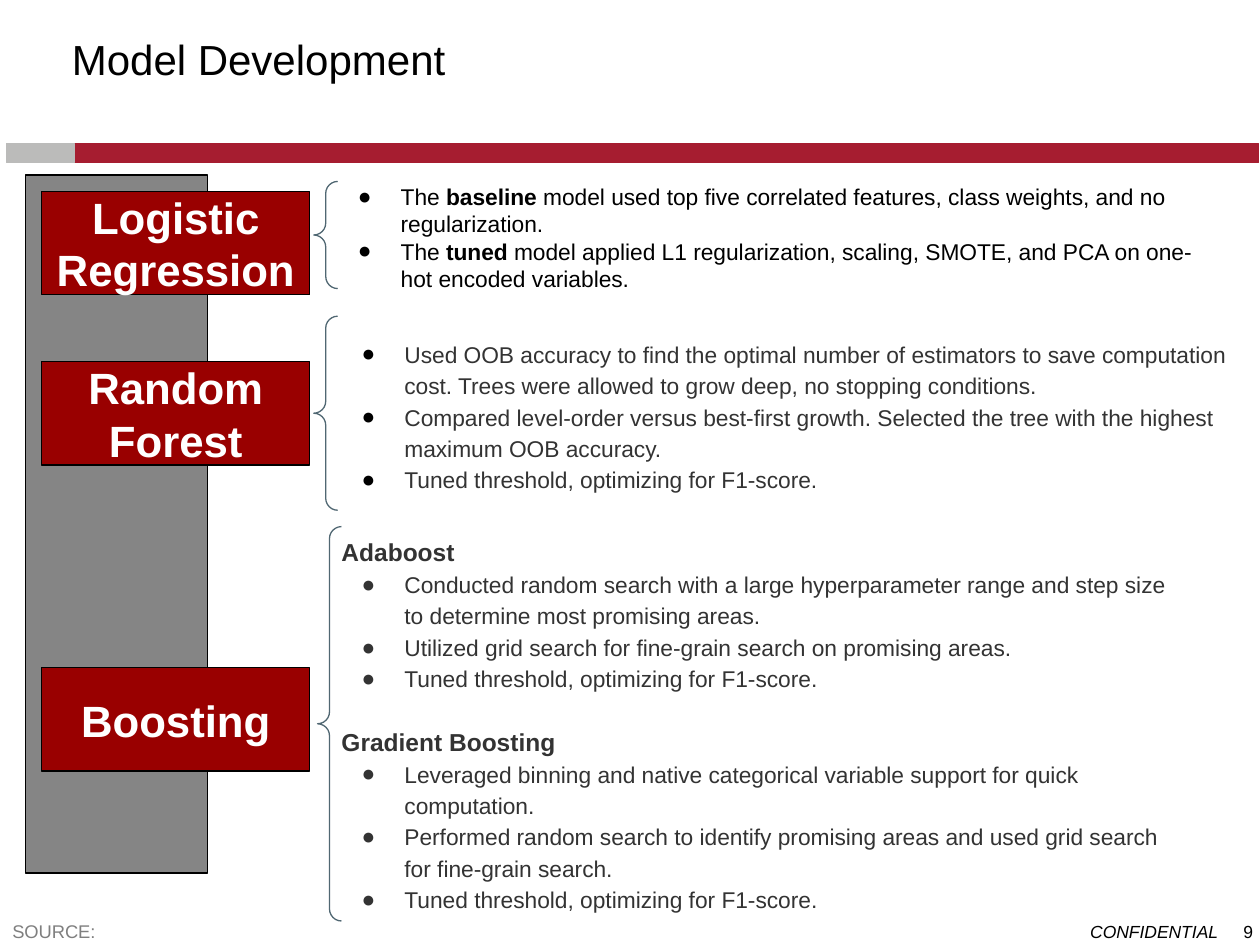
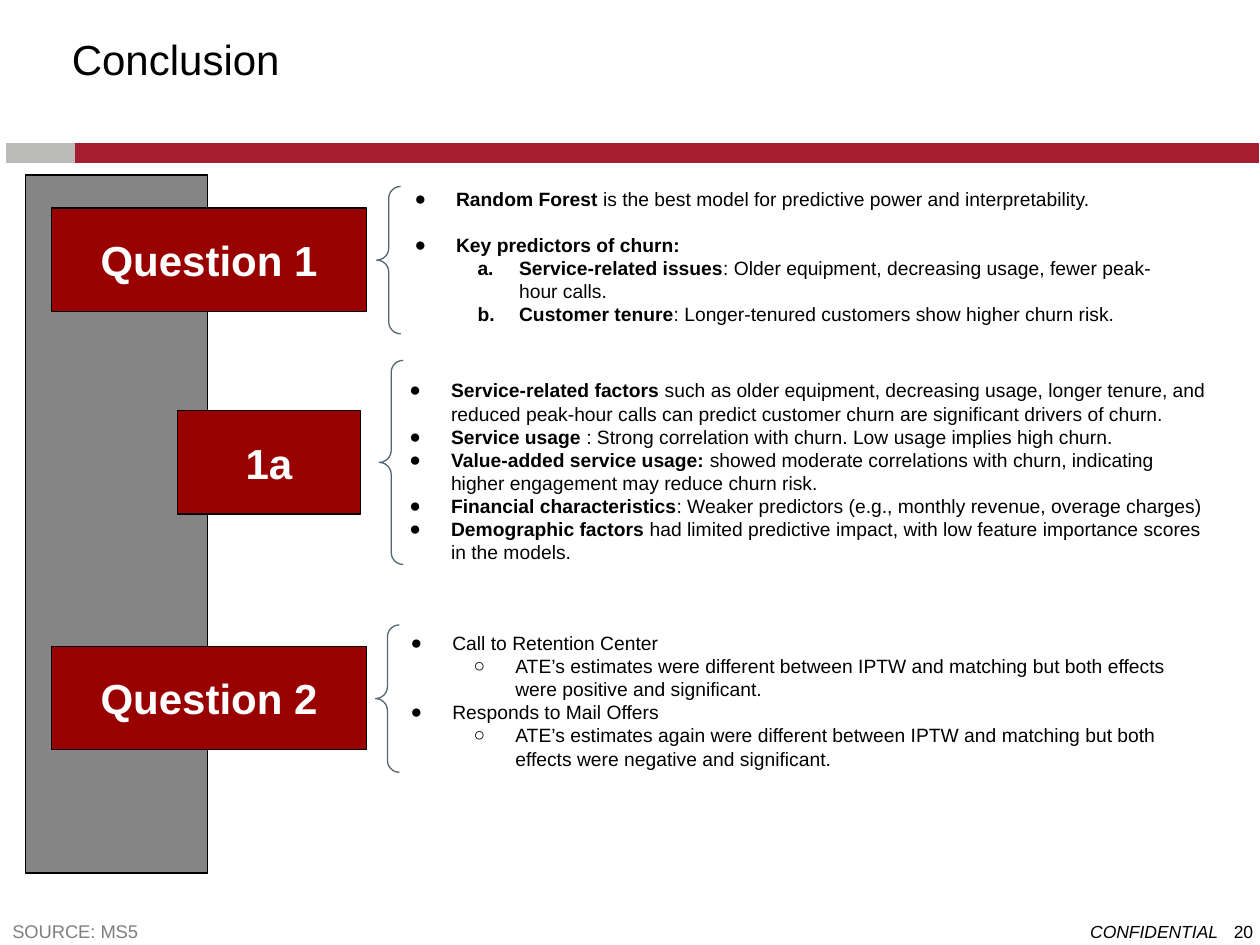
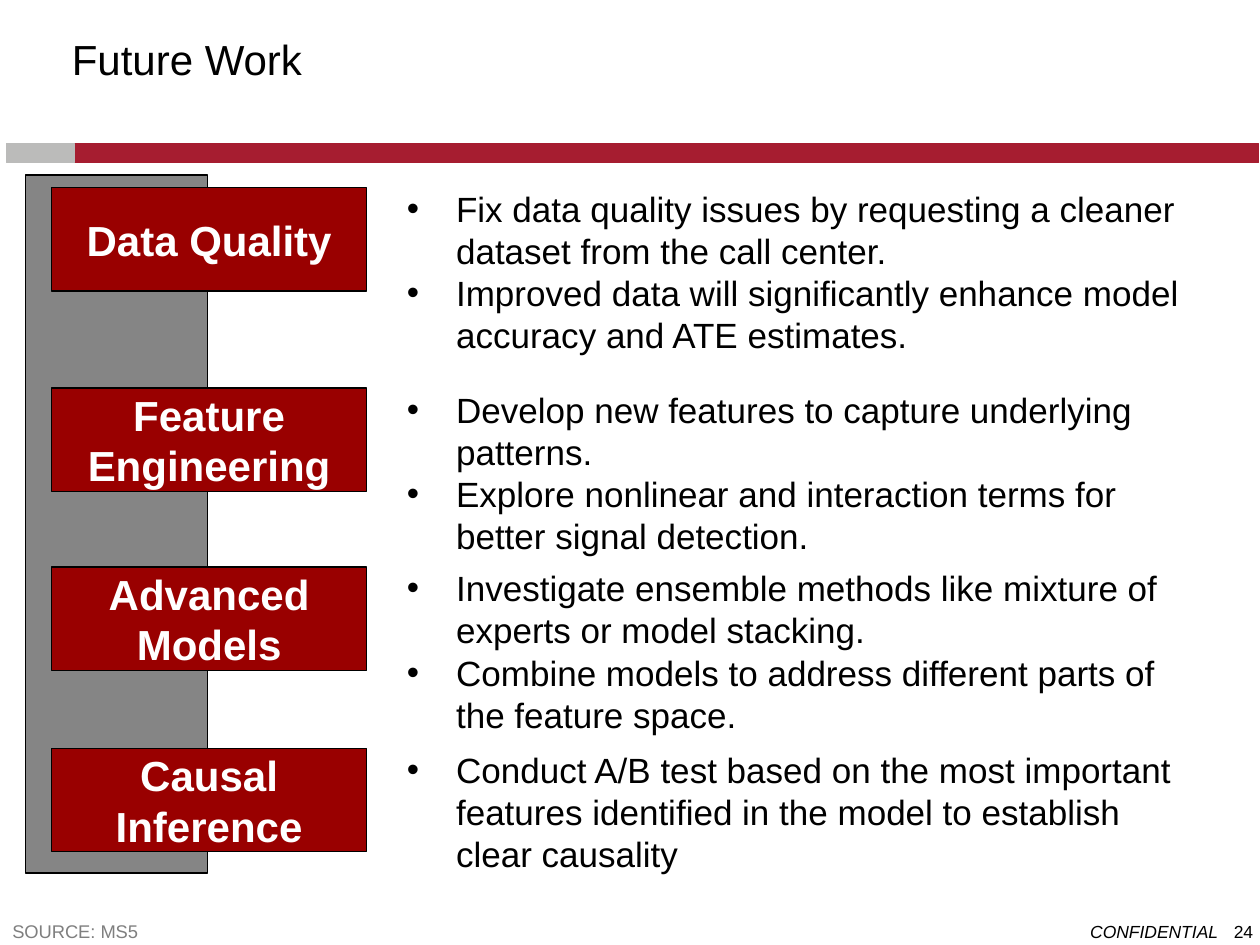
from lxml.etree import SubElement
from pptx import Presentation
from pptx.dml.color import RGBColor
from pptx.enum.shapes import MSO_SHAPE as Preset
from pptx.enum.text import MSO_ANCHOR as Anchor, PP_ALIGN as Align
from pptx.oxml.ns import qn
from pptx.util import Emu, Inches, Pt

THEME = {
    "font": "Arial",
    "red": "A61D30", "silver": "BBBBBA", "panel": "858585", "label": "990000",
    "brace": "506772", "black": "000000", "white": "FFFFFF", "ink": "333333",
    "muted": "7F7F7F",
    "title_size": 24, "source_size": 10.5, "footer_size": 10, "line": 0.75,
}
COLUMNS, ROWS = 100, 75
LABEL_ROWS = 8.2
BRACE_COLUMNS = 1.9

BANDS = [((5.8, 11.4, 94.1, 1.5), "red", "red"),
         ((0.5, 11.4, 5.4, 1.5), "silver", "silver"),
         ((2, 13.9, 14.5, 55.4), "panel", "black")]

BULLETS = {
    "dot": {"mark": "●", "level": 0},
    "gap_dot": {"mark": "●", "level": 0, "format": {"space_before": Pt(12.65)}},
    "ring": {"mark": "○", "level": 1},
    "letter": {"mark": None, "level": 1},
    "small_dot": {"mark": "•", "level": 0},
    "heading": {"size": 14},
    "gap_heading": {"size": 14, "format": {"space_before": Pt(17.2)}},
}

SLIDES = [
    {
        "title": "Model Development", "source": "SOURCE:", "page": "9",
        "label_size": 25, "text_size": 13, "hang": 0.34,
        "blocks": [
            {"label": "Logistic Regression", "label_at": (3.3, 15.2, 21.3),
             "brace": (24.9, 14.4, 8.5), "text_at": (26.8, 14.5, 69.5, 9.3),
             "text": [
                 ("dot", "The *baseline* model used top five correlated features, class weights, and no regularization."),
                 ("dot", "The *tuned* model applied L1 regularization, scaling, SMOTE, and PCA on one-hot encoded variables."),
             ]},
            {"label": "Random Forest", "label_at": (3.3, 28.7, 21.3),
             "brace": (24.9, 25.1, 15.4), "text_at": (27.1, 26.7, 70.6, 21.8),
             "color": "ink", "spacing": 1.15,
             "text": [
                 ("dot", "Used OOB accuracy to find the optimal number of estimators to save computation cost. Trees were allowed to grow deep, no stopping conditions."),
                 ("dot", "Compared level-order versus best-first growth. Selected the tree with the highest maximum OOB accuracy."),
                 ("dot", "Tuned threshold, optimizing for F1-score."),
             ]},
            {"label": "Boosting", "label_at": (3.3, 53, 21.3),
             "brace": (25.2, 41.8, 31.3), "text_at": (27.1, 42.3, 65.9, 30.7),
             "color": "ink", "bullet_color": "ink", "spacing": 1.15,
             "text": [
                 ("heading", "*Adaboost*"),
                 ("dot", "Conducted random search with a large hyperparameter range and step size to determine most promising areas."),
                 ("dot", "Utilized grid search for fine-grain search on promising areas."),
                 ("dot", "Tuned threshold, optimizing for F1-score."),
                 ("gap_heading", "*Gradient Boosting*"),
                 ("dot", "Leveraged binning and native categorical variable support for quick computation."),
                 ("dot", "Performed random search to identify promising areas and used grid search for fine-grain search."),
                 ("dot", "Tuned threshold, optimizing for F1-score."),
             ]},
        ],
    },
    {
        "title": "Conclusion", "source": "SOURCE: MS5", "page": "20",
        "label_size": 24, "text_size": 11, "hang": 0.33,
        "blocks": [
            {"label": "Question 1", "label_at": (4.1, 16.5, 25),
             "brace": (29.9, 14.8, 11.7), "text_at": (31.2, 14.9, 63, 12.7),
             "text": [
                 ("dot", "*Random Forest* is the best model for predictive power and interpretability."),
                 ("gap_dot", "*Key predictors of churn:*"),
                 ("letter", "*Service-related issues*: Older equipment, decreasing usage, fewer peak-hour calls."),
                 ("letter", "*Customer tenure*: Longer-tenured customers show higher churn risk."),
             ]},
            {"label": "1a", "label_at": (14.1, 32.6, 14.5),
             "brace": (30.1, 28.6, 16.2), "text_at": (30.8, 30.06, 65.4, 15),
             "text": [
                 ("dot", "*Service-related factors* such as older equipment, decreasing usage, longer tenure, and reduced peak-hour calls can predict customer churn are significant drivers of churn."),
                 ("dot", "*Service usage* : Strong correlation with churn. Low usage implies high churn."),
                 ("dot", "*Value-added service usage: *showed moderate correlations with churn, indicating higher engagement may reduce churn risk."),
                 ("dot", "*Financial characteristics*: Weaker predictors (e.g., monthly revenue, overage charges)"),
                 ("dot", "*Demographic factors *had limited predictive impact, with low feature importance scores in the models."),
             ]},
            {"label": "Question 2", "label_at": (4.1, 51.3, 25),
             "brace": (29.8, 49.6, 11.7), "text_at": (30.9, 50.1, 63, 13.3),
             "text": [
                 ("dot", "Call to Retention Center"),
                 ("ring", "ATE’s estimates were different between IPTW and matching but both effects were positive and significant."),
                 ("dot", "Responds to Mail Offers"),
                 ("ring", "ATE’s estimates again were different between IPTW and matching but both effects were negative and significant."),
             ]},
        ],
    },
    {
        "title": "Future Work", "source": "SOURCE: MS5", "page": "24",
        "label_size": 24, "text_size": 20, "hang": 0.39,
        "blocks": [
            {"label": label, "label_at": (4.1, row, 25), "text_at": (31.2, row, 63, 6.7),
             "text": [("small_dot", line) for line in lines]}
            for label, row, lines in [
                ("Data Quality", 14.9, [
                    "Fix data quality issues by requesting a cleaner dataset from the call center.",
                    "Improved data will significantly enhance model accuracy and ATE estimates."]),
                ("Feature Engineering", 30.8, [
                    "Develop new features to capture underlying patterns.",
                    "Explore nonlinear and interaction terms for better signal detection."]),
                ("Advanced Models", 45, [
                    "Investigate ensemble methods like mixture of experts or model stacking.",
                    "Combine models to address different parts of the feature space."]),
                ("Causal Inference", 59.4, [
                    "Conduct A/B test based on the most important features identified in the model to establish clear causality"]),
            ]
        ],
    },
]

presentation = Presentation()
presentation.slide_width, presentation.slide_height = Inches(10), Inches(7.5)


def rgb(name):
    return RGBColor.from_string(THEME[name])


def apply(target, values):
    for name, value in values.items():
        setattr(target, name, value)


def grid(place):
    column = presentation.slide_width / COLUMNS
    row = presentation.slide_height / ROWS
    return [Emu(round(value * unit)) for value, unit in zip(place, (column, row) * 2)]


def add_preset(slide, preset, place, fill, line):
    shape = slide.shapes.add_shape(preset, *grid(place))
    shape.shadow.inherit = False
    if fill:
        shape.fill.solid()
        shape.fill.fore_color.rgb = rgb(fill)
    else:
        shape.fill.background()
    shape.line.color.rgb = rgb(line)
    shape.line.width = Pt(THEME["line"])
    return shape


def prepare_frame(shape, anchor=Anchor.TOP, insets=(0, 0)):
    frame = shape.text_frame
    across, down = map(Inches, insets)
    apply(frame, {"word_wrap": True, "vertical_anchor": anchor,
                  "margin_left": across, "margin_right": across,
                  "margin_top": down, "margin_bottom": down})
    return frame


def write(paragraph, text, size, color, align=Align.LEFT, italic=False, bold=False):
    paragraph.alignment = align
    for index, part in enumerate(text.split("*")):
        if part:
            run = paragraph.add_run()
            run.text = part
            apply(run.font, {"name": THEME["font"], "size": Pt(size),
                             "bold": bold or index % 2 == 1, "italic": italic})
            run.font.color.rgb = rgb(color)


def add_text(slide, place, text, size, color, anchor=Anchor.TOP, insets=(0, 0), **style):
    box = slide.shapes.add_textbox(*grid(place))
    write(prepare_frame(box, anchor, insets).paragraphs[0], text, size, color, **style)


def add_bullet(paragraph, mark, level, hang, color):
    paragraph.level = level
    properties = paragraph._p.get_or_add_pPr()
    properties.set("marL", str(Inches(0.5 * (level + 1))))
    properties.set("indent", str(-Inches(hang)))
    bullet_color = SubElement(properties, qn("a:buClr"))
    SubElement(bullet_color, qn("a:srgbClr"), val=THEME[color])
    SubElement(properties, qn("a:buFont"), typeface=THEME["font"])
    if mark:
        SubElement(properties, qn("a:buChar"), char=mark)
    else:
        SubElement(properties, qn("a:buAutoNum"), type="alphaLcPeriod")


def add_block(slide, block, content):
    label = add_preset(slide, Preset.RECTANGLE, (*block["label_at"], LABEL_ROWS), "label", "black")
    write(prepare_frame(label, Anchor.MIDDLE).paragraphs[0], block["label"],
          content["label_size"], "white", Align.CENTER, bold=True)
    if "brace" in block:
        left, top, height = block["brace"]
        brace = add_preset(slide, Preset.LEFT_BRACE, (left, top, BRACE_COLUMNS, height), None, "brace")
        brace.adjustments[0] = brace.adjustments[1] = 0.5
    frame = prepare_frame(slide.shapes.add_textbox(*grid(block["text_at"])))
    for index, (kind, text) in enumerate(block["text"]):
        style = BULLETS[kind]
        paragraph = frame.add_paragraph() if index else frame.paragraphs[0]
        write(paragraph, text, style.get("size", content["text_size"]), block.get("color", "black"))
        apply(paragraph, {"line_spacing": block.get("spacing"), **style.get("format", {})})
        if "mark" in style:
            add_bullet(paragraph, style["mark"], style["level"], content["hang"],
                       block.get("bullet_color", "black"))


def add_frame(slide, content):
    for place, fill, line in BANDS:
        add_preset(slide, Preset.RECTANGLE, place, fill, line)
    add_text(slide, (4.8, 2.3, 90, 4.8), content["title"], THEME["title_size"], "black",
             Anchor.BOTTOM, (0.09, 0.04))
    add_text(slide, (0, 72.5, 97.4, 2.8), content["source"], THEME["source_size"], "muted",
             Anchor.BOTTOM, (0.1, 0.05))
    add_text(slide, (85.4, 73.1, 12.4, 1.7), "CONFIDENTIAL", THEME["footer_size"], "black",
             align=Align.CENTER, italic=True)
    add_text(slide, (97.7, 73.1, 1.75, 1.7), content["page"], THEME["footer_size"], "black",
             align=Align.RIGHT)


def main():
    for content in SLIDES:
        slide = presentation.slides.add_slide(presentation.slide_layouts[6])
        add_frame(slide, content)
        for block in content["blocks"]:
            add_block(slide, block, content)
    presentation.save("out.pptx")


if __name__ == "__main__":
    main()
